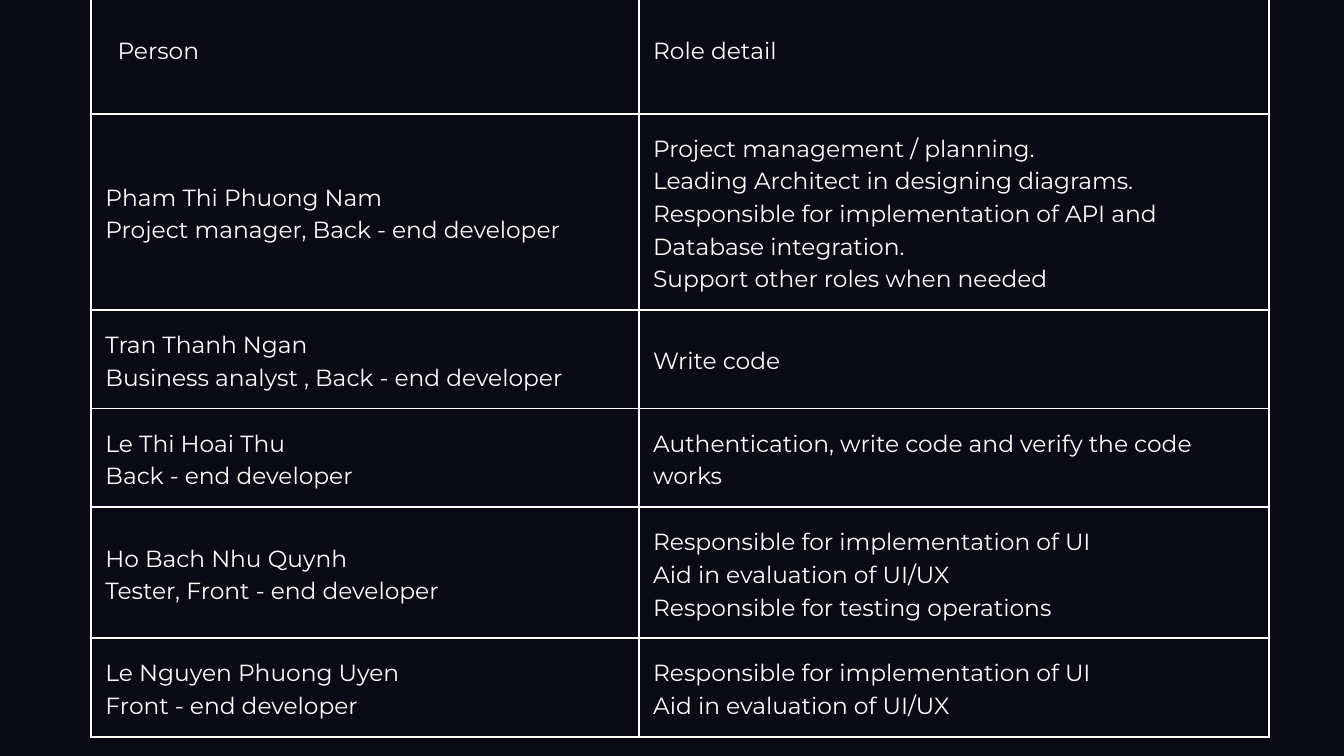
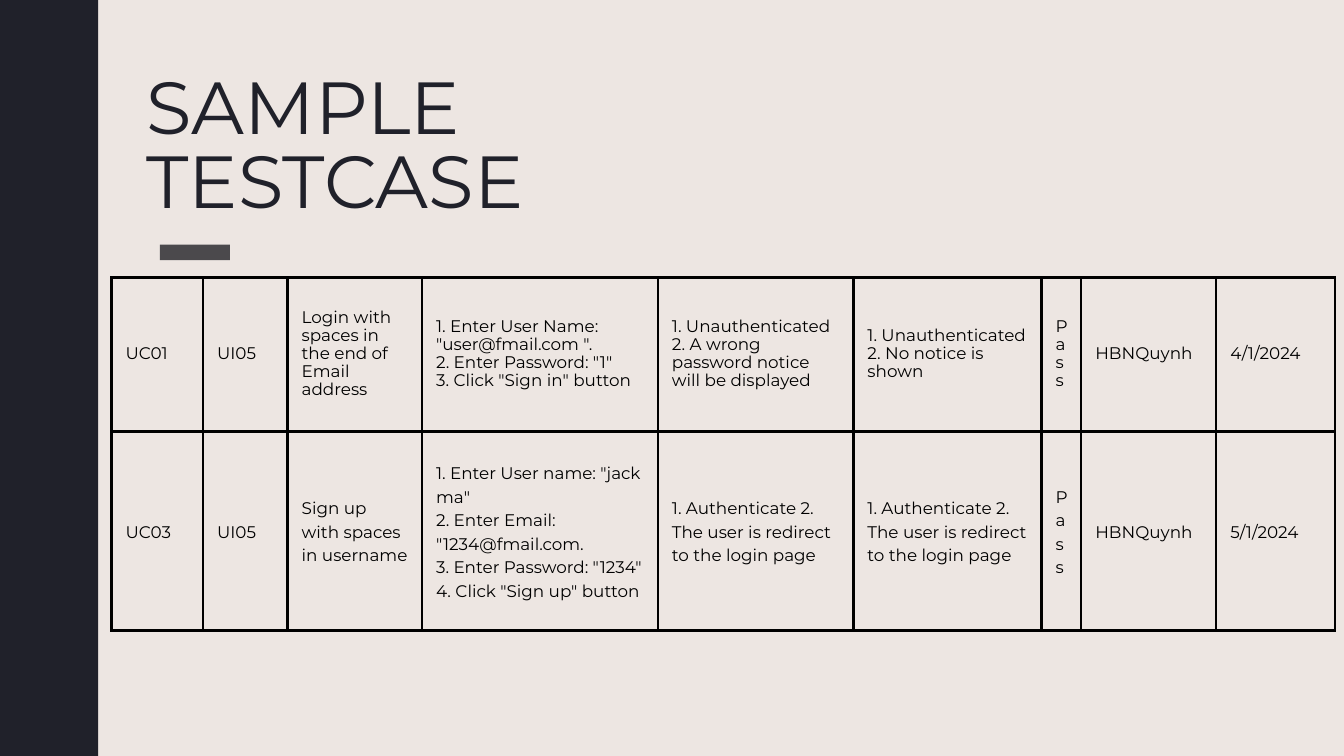
"""Builds the team role table and the sample test case slides."""
from dataclasses import dataclass

from lxml.etree import SubElement
from pptx import Presentation
from pptx.dml.color import RGBColor
from pptx.enum.shapes import MSO_SHAPE
from pptx.enum.text import MSO_ANCHOR, MSO_AUTO_SIZE, PP_ALIGN
from pptx.oxml.ns import qn
from pptx.util import Inches, Pt


@dataclass(frozen=True)
class Theme:
    font: str = "Montserrat"
    night: str = "090A16"
    sand: str = "EDE6E2"
    ink: str = "20212A"
    accent: str = "4B494C"
    white: str = "FFFFFF"
    black: str = "000000"
    title_size: float = 79
    role_size: float = 25
    case_size: float = 18
    cell_inset: float = 0.21


THEME = Theme()

ROLES = [
    (["Person"], ["Role detail"]),
    (["Pham Thi Phuong Nam", "Project manager, Back - end developer"],
     ["Project management / planning.",
      "Leading Architect in designing diagrams.",
      "Responsible for implementation of API and Database integration.",
      "Support other roles when needed"]),
    (["Tran Thanh Ngan", "Business analyst , Back - end developer"],
     ["Write code"]),
    (["Le Thi Hoai Thu", "Back - end developer"],
     ["Authentication, write code and verify the code works"]),
    (["Ho Bach Nhu Quynh", "Tester, Front - end developer"],
     ["Responsible for implementation of UI",
      "Aid in evaluation of UI/UX",
      "Responsible for testing operations"]),
    (["Le Nguyen Phuong Uyen", "Front - end developer"],
     ["Responsible for implementation of UI", "Aid in evaluation of UI/UX"]),
]
ROLE_COLUMNS = [8.15, 9.37]
ROLE_HEIGHTS = [1.95, 2.91, 1.47, 1.47, 1.95, 1.47]

CASES_TITLE = "SAMPLE TESTCASE"
CASES = [
    {"height": 2.29, "leading": 19.4, "cells": [
        ["UC01"], ["UI05"],
        ["Login with spaces in the end of Email address"],
        ['1. Enter User Name: "user@fmail.com ".',
         '2. Enter Password: "1"',
         '3. Click "Sign in" button'],
        ["1. Unauthenticated 2. A wrong password notice will be displayed"],
        ["1. Unauthenticated 2. No notice is shown"],
        ["Pass"], ["HBNQuynh"], ["4/1/2024"]]},
    {"height": 2.96, "leading": 25.2, "cells": [
        ["UC03"], ["UI05"],
        ["Sign up with spaces in username"],
        ['1. Enter User name: "jack ma"',
         '2. Enter Email: "1234@fmail.com.',
         '3. Enter Password: "1234" 4. Click "Sign up" button'],
        ["1. Authenticate 2. The user is redirect to the login page"],
        ["1. Authenticate 2. The user is redirect to the login page"],
        ["Pass"], ["HBNQuynh"], ["5/1/2024"]]},
]
CASE_COLUMNS = [1.36, 1.26, 2, 3.51, 2.91, 2.8, 0.59, 2.01, 1.77]
CASES_LEFT, CASES_TOP = 1.66, 4.13


def rgb(color):
    return RGBColor.from_string(color)


def write(frame, lines, *, size, color, leading, inset=0.0, anchor=MSO_ANCHOR.TOP):
    """Fill a text frame or a table cell's frame with one paragraph per line."""
    frame.word_wrap = True
    frame.vertical_anchor = anchor
    frame.margin_left = frame.margin_right = Inches(inset)
    frame.margin_top = frame.margin_bottom = Inches(inset)
    for index, line in enumerate(lines):
        paragraph = frame.add_paragraph() if index else frame.paragraphs[0]
        paragraph.text = line
        paragraph.alignment = PP_ALIGN.LEFT
        paragraph.line_spacing = Pt(leading)
        paragraph.space_before = paragraph.space_after = Pt(0)
        paragraph.font.name = THEME.font
        paragraph.font.size = Pt(size)
        paragraph.font.color.rgb = rgb(color)


def set_borders(cell, color, width):
    """Draw all four edges of a table cell."""
    properties = cell._tc.get_or_add_tcPr()
    for edge in ("a:lnL", "a:lnR", "a:lnT", "a:lnB"):
        line = SubElement(properties, qn(edge), w=str(Pt(width)))
        SubElement(SubElement(line, qn("a:solidFill")), qn("a:srgbClr"), val=color)


def add_grid(slide, rows, left, top, widths, heights, *, size, color, leading, border):
    """Add an unfilled, fully ruled table and return it."""
    grid = slide.shapes.add_table(
        len(heights), len(widths), Inches(left), Inches(top),
        Inches(sum(widths)), Inches(sum(heights))).table
    grid.first_row = grid.horz_banding = False
    for column, width in zip(grid.columns, widths):
        column.width = Inches(width)
    for row, height, contents in zip(grid.rows, heights, rows):
        row.height = Inches(height)
        for cell, lines in zip(row.cells, contents):
            write(cell.text_frame, lines, size=size, color=color, leading=leading)
            cell.vertical_anchor = MSO_ANCHOR.MIDDLE
            cell.margin_left = cell.margin_right = Inches(THEME.cell_inset)
            cell.margin_top = cell.margin_bottom = Inches(THEME.cell_inset)
            set_borders(cell, color, border)
            cell.fill.background()
    return grid


def add_block(slide, left, top, width, height, color):
    block = slide.shapes.add_shape(
        MSO_SHAPE.RECTANGLE, Inches(left), Inches(top), Inches(width), Inches(height))
    block.shadow.inherit = False
    block.fill.solid()
    block.fill.fore_color.rgb = rgb(color)
    block.line.fill.background()


def add_slide(deck, layout, background):
    slide = deck.slides.add_slide(deck.slide_layouts.get_by_name(layout))
    slide.background.fill.solid()
    slide.background.fill.fore_color.rgb = rgb(background)
    return slide


def build_roles(deck):
    slide = add_slide(deck, "Blank", THEME.night)
    grid = add_grid(slide, ROLES, 1.36, -0.25, ROLE_COLUMNS, ROLE_HEIGHTS,
                    size=THEME.role_size, color=THEME.white, leading=35, border=2.25)
    grid.cell(0, 0).margin_left = Inches(THEME.cell_inset + 0.18)


def build_cases(deck):
    slide = add_slide(deck, "Title Only", THEME.sand)
    add_block(slide, 0, 0, 1.46, 11.25, THEME.ink)
    title = slide.shapes.title
    title.left, title.top = Inches(2.18), Inches(1.13)
    title.width, title.height = Inches(9.89), Inches(2.25)
    title.text_frame.auto_size = MSO_AUTO_SIZE.NONE
    write(title.text_frame, [CASES_TITLE], size=THEME.title_size,
          color=THEME.ink, leading=THEME.title_size)
    add_block(slide, 2.38, 3.64, 1.04, 0.23, THEME.accent)
    top = CASES_TOP
    for case in CASES:
        add_grid(slide, [case["cells"]], CASES_LEFT, top, CASE_COLUMNS,
                 [case["height"]], size=THEME.case_size, color=THEME.black,
                 leading=case["leading"], border=3)
        top += case["height"]


def main():
    deck = Presentation()
    deck.slide_width, deck.slide_height = Inches(20), Inches(11.25)
    build_roles(deck)
    build_cases(deck)
    deck.save("out.pptx")


if __name__ == "__main__":
    main()
